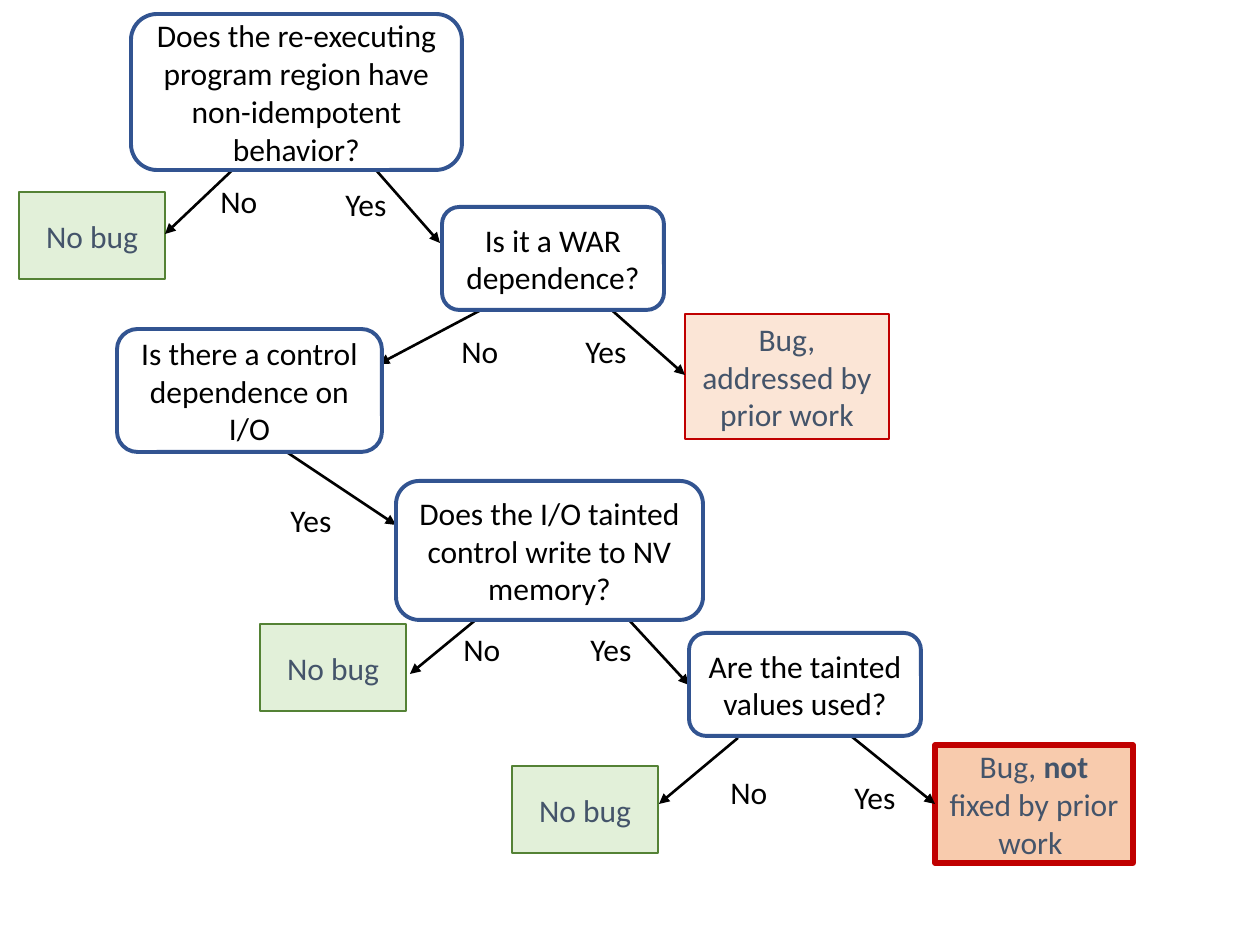
"""Builds a decision tree that sorts re-execution bugs."""
from lxml import etree
from pptx import Presentation
from pptx.dml.color import RGBColor
from pptx.enum import shapes, text
from pptx.oxml.ns import qn
from pptx.util import Emu, Pt

SCALE = 914400 // 126
THEME = {
    "font": "Calibri", "size": 18, "ink": "000000", "arrow": 1.5,
    "question": ("ROUNDED_RECTANGLE", "FFFFFF", "325491", 2.25, "000000"),
    "safe": ("RECTANGLE", "E2F0D9", "548235", 1.5, "44546A"),
    "known": ("RECTANGLE", "FBE5D6", "C00000", 1.5, "44546A"),
    "open": ("RECTANGLE", "F8CBAD", "C00000", 3, "44546A"),
}
RESULTS = [
    ("safe", (19, 192, 146, 87), ["No bug"]),
    ("known", (685, 314, 204, 125), ["Bug, addressed by prior work"]),
    ("safe", (260, 624, 146, 87), ["No bug"]),
    ("safe", (512, 766, 146, 87), ["No bug"]),
    ("open", (935, 745, 198, 118), ["Bug, ", "not", " fixed by prior work "]),
]
QUESTIONS = [
    ("question", (131, 14, 331, 156),
     ["Does the re-executing program region have non-idempotent behavior?"]),
    ("question", (442, 207, 222, 103), ["Is it a WAR dependence?"]),
    ("question", (689, 633, 232, 103), ["Are the tainted values used?"]),
    ("question", (117, 329, 265, 123), ["Is there a control dependence on I/O"]),
    ("question", (396, 481, 307, 139),
     ["Does the I/O tainted control write to NV memory?"]),
]
BRANCHES = [
    ("No", (242, 161, 165, 234), (208, 176)),
    ("No", (489, 609, 410, 674), (451, 624)),
    ("No", (738, 738, 659, 804), (718, 767)),
    ("No", (481, 310, 379, 364), (449, 326)),
    ("Yes", (368, 161, 440, 243), (333, 179)),
    ("Yes", (606, 305, 685, 375), (573, 326)),
    ("Yes", (629, 620, 689, 685), (578, 624)),
    ("Yes", (285, 451, 396, 525), (278, 495)),
    ("Yes", (851, 736, 935, 804), (842, 772)),
]
LABEL = {"No": (71, 50), "Yes": (73, 50)}


def px(*vals):
    return [Emu(v * SCALE) for v in vals]


def rgb(code):
    return RGBColor.from_string(code)


def write(frame, runs, color):
    para = frame.paragraphs[0]
    for part in runs:
        run = para.add_run()
        run.text = part
        if part == "not":
            run.font.bold = True
    para.font.name = THEME["font"]
    para.font.size = Pt(THEME["size"])
    para.font.color.rgb = rgb(color)
    return para


def add_box(slide, kind, area, runs):
    form, fill, edge, width, ink = THEME[kind]
    box = slide.shapes.add_shape(shapes.MSO_SHAPE[form], *px(*area))
    box.shadow.inherit = False
    box.fill.solid()
    box.fill.fore_color.rgb = rgb(fill)
    box.line.color.rgb = rgb(edge)
    box.line.width = Pt(width)
    box.text_frame.word_wrap = True
    box.text_frame.vertical_anchor = text.MSO_ANCHOR.MIDDLE
    write(box.text_frame, runs, ink).alignment = text.PP_ALIGN.CENTER


def add_arrow(slide, ends):
    arrow = slide.shapes.add_connector(shapes.MSO_CONNECTOR.STRAIGHT, *px(*ends))
    arrow.line.color.rgb = rgb(THEME["ink"])
    arrow.line.width = Pt(THEME["arrow"])
    props = arrow._element.spPr
    etree.SubElement(props.find(qn("a:ln")), qn("a:tailEnd"), type="triangle")
    etree.SubElement(props, qn("a:effectLst"))


def add_label(slide, word, spot):
    label = slide.shapes.add_textbox(*px(*spot, *LABEL[word]))
    label.text_frame.word_wrap = False
    label.text_frame.auto_size = text.MSO_AUTO_SIZE.SHAPE_TO_FIT_TEXT
    write(label.text_frame, [word], THEME["ink"])


def main():
    deck = Presentation()
    deck.slide_width, deck.slide_height = px(1260, 945)
    slide = deck.slides.add_slide(deck.slide_layouts[6])
    for item in RESULTS:
        add_box(slide, *item)
    for word, ends, spot in BRANCHES:
        add_arrow(slide, ends)
        add_label(slide, word, spot)
    for item in QUESTIONS:
        add_box(slide, *item)
    deck.save("out.pptx")


main()
